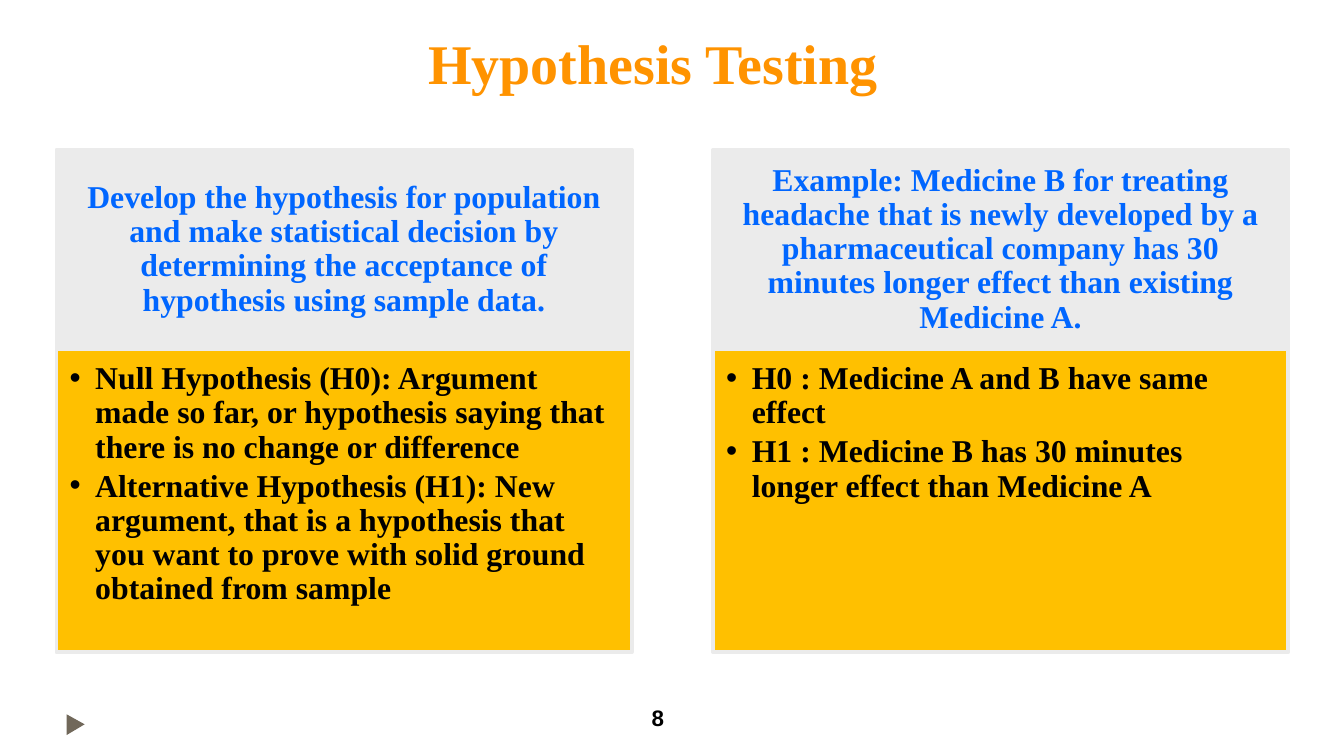
from dataclasses import dataclass

from lxml.etree import SubElement
from pptx import Presentation
from pptx.dml.color import RGBColor
from pptx.enum.shapes import MSO_SHAPE as Shape
from pptx.enum.text import MSO_ANCHOR as Anchor, PP_ALIGN as Align
from pptx.oxml.ns import qn
from pptx.util import Pt

PX = 4572

WHITE = RGBColor(0xFF, 0xFF, 0xFF)
BLACK = RGBColor(0x00, 0x00, 0x00)
ORANGE = RGBColor(0xFF, 0x93, 0x00)
BLUE = RGBColor(0x00, 0x66, 0xFF)
GRAY = RGBColor(0xEB, 0xEB, 0xEB)
AMBER = RGBColor(0xFF, 0xC0, 0x00)
TAUPE = RGBColor(0x71, 0x68, 0x5A)

SERIF = "Times New Roman"
SANS = "Arial"

CARD_LEFT, CARD_TOP, CARD_STEP, CARD_WIDTH = 84, 223, 977, 856
HEAD_HEIGHT, BODY_HEIGHT = 296, 452
BULLET_INDENT = 38


@dataclass(frozen=True)
class Style:
    size: int
    color: RGBColor
    font: str = SERIF
    align: Align = Align.LEFT
    anchor: Anchor = Anchor.TOP
    insets: tuple[int, int, int, int] = (20, 10, 20, 10)
    line_spacing: float = 1.0
    space_before: float = 0
    bullet: bool = False


@dataclass(frozen=True)
class Card:
    heading: str
    points: tuple[str, ...]


TITLE = Style(30, ORANGE, align=Align.CENTER, insets=(20, 56, 20, 10))
NUMBER = Style(12, BLACK, font=SANS)
HEAD = Style(17, BLUE, align=Align.CENTER, anchor=Anchor.MIDDLE,
             insets=(26, 16, 26, 16), line_spacing=0.9)
BODY = Style(17, BLACK, insets=(20, 20, 26, 30), line_spacing=0.9,
             space_before=2.5, bullet=True)

CARDS = (
    Card("Develop the hypothesis for population and make statistical decision by "
         "determining the acceptance of hypothesis using sample data.",
         ("Null Hypothesis (H0): Argument made so far, or hypothesis saying that "
          "there is no change or difference",
          "Alternative Hypothesis (H1): New argument, that is a hypothesis that "
          "you want to prove with solid ground obtained from sample")),
    Card("Example: Medicine B for treating headache that is newly developed by a "
         "pharmaceutical company has 30 minutes longer effect than existing Medicine A.",
         ("H0 : Medicine A and B have same effect",
          "H1 : Medicine B has 30 minutes longer effect than Medicine A")),
)


def px(*lengths: int) -> list[int]:
    return [n * PX for n in lengths]


def set_all(obj, values: dict) -> None:
    for name, value in values.items():
        setattr(obj, name, value)


def add_bullet(p) -> None:
    pPr = p._p.get_or_add_pPr()
    pPr.set("marL", str(BULLET_INDENT * PX))
    pPr.set("indent", str(-BULLET_INDENT * PX))
    clr = SubElement(pPr, qn("a:buClr"))
    SubElement(clr, qn("a:srgbClr"), val=str(BLACK))
    SubElement(pPr, qn("a:buFont"), typeface=SANS)
    SubElement(pPr, qn("a:buChar"), char="•")


def write(sp, lines: tuple[str, ...], style: Style) -> None:
    tf = sp.text_frame
    sides = ("margin_left", "margin_top", "margin_right", "margin_bottom")
    set_all(tf, dict(zip(sides, px(*style.insets)),
                     word_wrap=True, vertical_anchor=style.anchor))
    for i, line in enumerate(lines):
        p = tf.add_paragraph() if i else tf.paragraphs[0]
        if style.bullet:
            add_bullet(p)
        set_all(p, {"alignment": style.align, "line_spacing": style.line_spacing})
        if i:
            p.space_before = Pt(style.space_before)
        r = p.add_run()
        r.text = line
        set_all(r.font, {"name": style.font, "size": Pt(style.size), "bold": True})
        r.font.color.rgb = style.color


def add_text(slide, box: tuple[int, int, int, int], text: str, style: Style) -> None:
    write(slide.shapes.add_textbox(*px(*box)), (text,), style)


def add_panel(slide, box: tuple[int, int, int, int], fill: RGBColor,
              lines: tuple[str, ...], style: Style) -> None:
    sp = slide.shapes.add_shape(Shape.RECTANGLE, *px(*box))
    sp.shadow.inherit = False
    sp.fill.solid()
    sp.fill.fore_color.rgb = fill
    sp.line.color.rgb = GRAY
    sp.line.width = Pt(2)
    write(sp, lines, style)


def add_card(slide, left: int, card: Card) -> None:
    add_panel(slide, (left, CARD_TOP, CARD_WIDTH, HEAD_HEIGHT),
              GRAY, (card.heading,), HEAD)
    add_panel(slide, (left, CARD_TOP + HEAD_HEIGHT, CARD_WIDTH, BODY_HEIGHT),
              AMBER, card.points, BODY)


def add_marker(slide) -> None:
    fb = slide.shapes.build_freeform(99, 1063, scale=PX)
    fb.add_line_segments([(99, 1094), (126, 1078)], close=True)
    sp = fb.convert_to_shape()
    sp.shadow.inherit = False
    sp.fill.solid()
    sp.fill.fore_color.rgb = TAUPE
    sp.line.fill.background()


def main() -> None:
    prs = Presentation()
    prs.slide_width, prs.slide_height = px(2000, 1125)
    slide = prs.slides.add_slide(prs.slide_layouts[6])
    slide.background.fill.solid()
    slide.background.fill.fore_color.rgb = WHITE
    add_text(slide, (950, 1038, 116, 60), "8", NUMBER)
    add_marker(slide)
    add_text(slide, (72, -13, 1800, 188), "Hypothesis Testing", TITLE)
    for i, card in enumerate(CARDS):
        add_card(slide, CARD_LEFT + i * CARD_STEP, card)
    prs.save("out.pptx")


if __name__ == "__main__":
    main()
